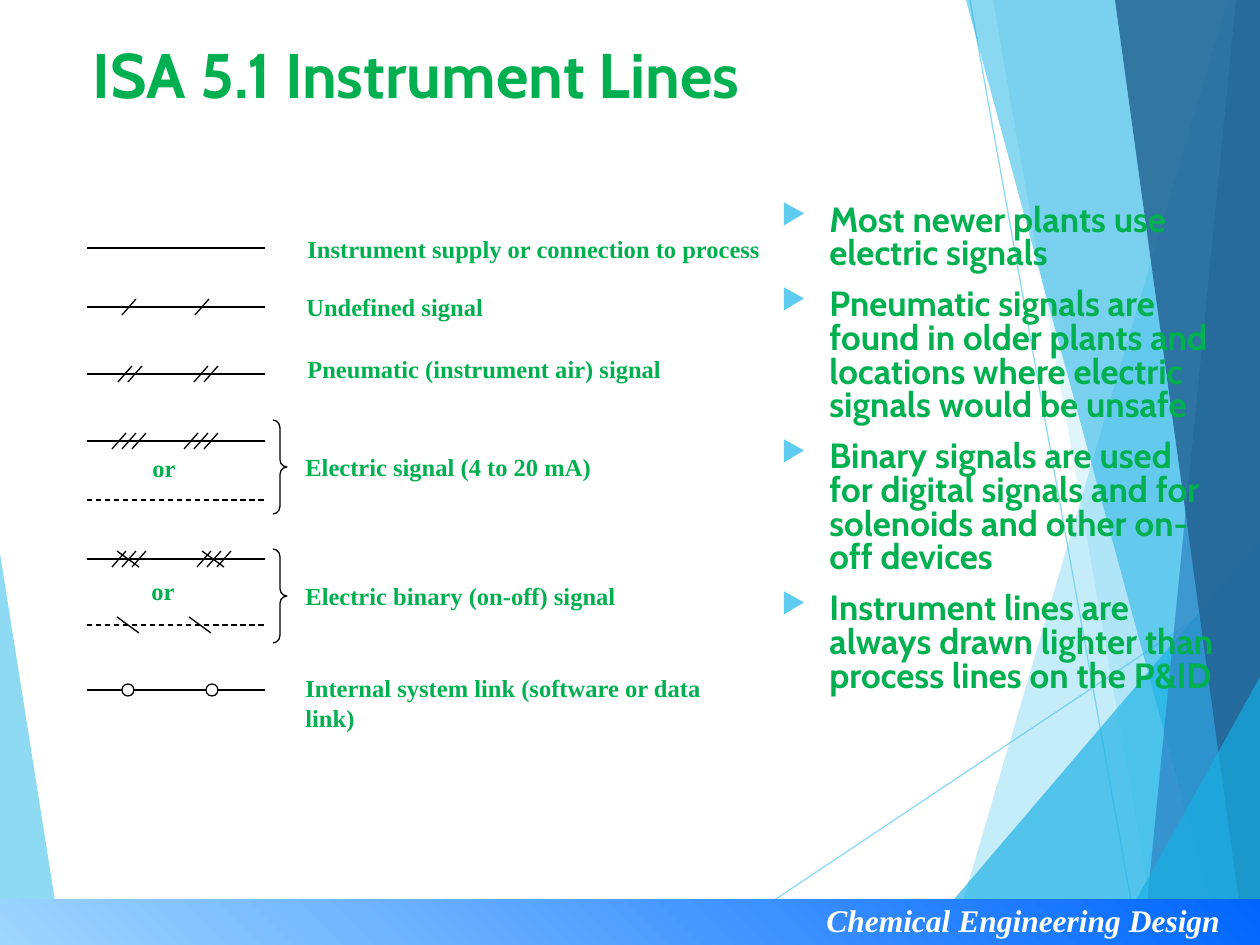
import pptx
import pptx.util
import pptx.dml.color
import pptx.enum.dml
import pptx.enum.shapes
import pptx.enum.text
import pptx.oxml
import pptx.oxml.ns
import lxml.etree

HUES = {
    "sky": "5FCBEF", "cyan": "17B0E4", "blue": "2E83C3", "navy": "236292",
    "pale": "9FD6FF", "bright": "0066FF", "green": "00B050",
    "black": "000000", "white": "FFFFFF",
}
SCALE = 914400 / 126
SHAPES = pptx.enum.shapes.MSO_SHAPE


def emu(px):
    return pptx.util.Emu(round(px * SCALE))


def rgb(hue):
    return pptx.dml.color.RGBColor.from_string(HUES[hue])


def add_sub(node, tag, **attrs):
    return lxml.etree.SubElement(node, pptx.oxml.ns.qn(tag), attrs)


def fade(shape, share):
    for color in shape._element.spPr.xpath(".//a:srgbClr"):
        add_sub(color, "a:alpha", val=str(share * 1000))


def write(frame, *lines, font="Times New Roman", size=14, hue="green",
          slant=False, bullet=None, lead=None, gap=0):
    frame.word_wrap = True
    for count, line in enumerate(lines):
        para = frame.paragraphs[0] if count == 0 else frame.add_paragraph()
        para.text = line
        if lead:
            para.line_spacing = lead
        if count:
            para.space_before = pptx.util.Pt(gap)
        if bullet:
            props = para._p.get_or_add_pPr()
            props.set("marL", str(emu(48)))
            props.set("indent", str(-emu(48)))
            tint = add_sub(props, "a:buClr")
            add_sub(tint, "a:srgbClr", val=HUES["sky"])
            add_sub(props, "a:buSzPct", val="80000")
            add_sub(props, "a:buChar", char=bullet)
        para.font.name = font
        para.font.size = pptx.util.Pt(size)
        para.font.bold = True
        para.font.italic = slant
        para.font.color.rgb = rgb(hue)


class Sheet:
    def __init__(self, slide, pen="black", width=0.75):
        self.slide = slide
        self.pen = pen
        self.width = pptx.util.Pt(width)

    def text(self, x, y, w, h, *lines, **style):
        box = self.slide.shapes.add_textbox(*map(emu, (x, y, w, h)))
        write(box.text_frame, *lines, **style)

    def line(self, x1, y1, x2, y2, hue=None, dash=False, share=None):
        link = self.slide.shapes.add_connector(
            pptx.enum.shapes.MSO_CONNECTOR.STRAIGHT, *map(emu, (x1, y1, x2, y2)))
        link.line.color.rgb = rgb(hue or self.pen)
        link.line.width = self.width
        if dash:
            link.line.dash_style = pptx.enum.dml.MSO_LINE.DASH
        if share:
            fade(link, share)
        add_sub(link._element.spPr, "a:effectLst")

    def shape(self, kind, x, y, w, h, fill=None):
        item = self.slide.shapes.add_shape(kind, *map(emu, (x, y, w, h)))
        item.shadow.inherit = False
        item.line.color.rgb = rgb(self.pen)
        item.line.width = self.width
        if fill:
            item.fill.solid()
            item.fill.fore_color.rgb = rgb(fill)
        else:
            item.fill.background()
        return item

    def facet(self, points, hue, share):
        build = self.slide.shapes.build_freeform(*points[0], scale=SCALE)
        build.add_line_segments(points[1:], close=True)
        item = build.convert_to_shape()
        item.shadow.inherit = False
        item.fill.solid()
        item.fill.fore_color.rgb = rgb(hue)
        item.line.fill.background()
        fade(item, share)

    def band(self, x, y, w, h, start, end):
        item = self.shape(SHAPES.RECTANGLE, x, y, w, h)
        item.line.fill.background()
        item.fill.gradient()
        item.fill.gradient_angle = 45
        for stop, hue, place in zip(item.fill.gradient_stops, (start, end), (0, 1)):
            stop.color.rgb = rgb(hue)
            stop.position = place

    def brace(self, x, y, w, h):
        item = self.shape(SHAPES.RIGHT_BRACE, x, y, w, h)
        item.adjustments[0] = 0.54

    def signal(self, y, dash=False, ticks=(), count=1, cuts=(), rings=()):
        self.line(87, y, 265, y, dash=dash)
        for start in ticks:
            for step in range(count):
                x = start + 10 * step
                self.line(x, y + 8, x + 14, y - 8)
        for x in cuts:
            self.line(x + 22, y + 8, x, y - 8)
        for x in rings:
            self.shape(SHAPES.OVAL, x, y - 6, 12, 12, fill="white")


def draw_back(sheet):
    sheet.facet([(0, 553), (62, 945), (0, 945)], "sky", 70)
    sheet.line(707, 945, 1260, 576, hue="sky", share=70)
    sheet.line(970, 0, 1139, 945, hue="sky", share=70)
    for points, hue, share in (
        ([(1228, 0), (950, 945), (1260, 945), (1260, 0)], "sky", 36),
        ([(993, 0), (1158, 945), (1260, 945), (1260, 0)], "sky", 20),
        ([(915, 945), (1260, 541), (1260, 945)], "cyan", 66),
        ([(966, 0), (1222, 945), (1260, 945), (1260, 0)], "cyan", 50),
        ([(1236, 0), (1143, 945), (1260, 945), (1260, 0)], "blue", 70),
        ([(1115, 0), (1245, 945), (1260, 945), (1260, 0)], "navy", 82),
        ([(1111, 945), (1260, 677), (1260, 945)], "cyan", 66),
    ):
        sheet.facet(points, hue, share)
    sheet.band(0, 899, 1260, 46, "pale", "bright")
    sheet.text(814, 895, 440, 50, "Chemical Engineering Design",
               size=18, hue="white", slant=True)


def draw_key(sheet):
    sheet.signal(248)
    sheet.signal(307, ticks=(122, 195))
    sheet.signal(374, ticks=(118, 194), count=2)
    sheet.signal(441, ticks=(112, 184), count=3)
    sheet.signal(500, dash=True)
    sheet.signal(559, ticks=(112, 197), count=3, cuts=(117, 202))
    sheet.signal(625, dash=True, cuts=(117, 189))
    sheet.signal(690, rings=(122, 206))
    for y in (420, 549):
        sheet.brace(273, y, 14, 94)
    for x, y in ((140, 447), (139, 570)):
        sheet.text(x, y, 53, 43, "or")
    for x, y, w, h, label in (
        (295, 228, 490, 43, "Instrument supply or connection to process"),
        (294, 286, 215, 43, "Undefined signal"),
        (295, 348, 390, 43, "Pneumatic (instrument air) signal"),
        (293, 446, 329, 43, "Electric signal (4 to 20 mA)"),
        (293, 575, 445, 43, "Electric binary (on-off) signal"),
        (293, 667, 455, 72, "Internal system link (software or data link)"),
    ):
        sheet.text(x, y, w, h, label)


def main():
    deck = pptx.Presentation()
    deck.slide_width, deck.slide_height = emu(1260), emu(945)
    sheet = Sheet(deck.slides.add_slide(deck.slide_layouts[6]))
    draw_back(sheet)
    draw_key(sheet)
    sheet.text(80, 29, 1040, 103, "ISA 5.1 Instrument Lines", font="Cabin", size=36)
    sheet.text(769, 199, 459, 624,
               "Most newer plants use electric signals",
               "Pneumatic signals are found in older plants and locations "
               "where electric signals would be unsafe",
               "Binary signals are used for digital signals and for solenoids "
               "and other on-off devices",
               "Instrument lines are always drawn lighter than process lines "
               "on the P&ID",
               font="Cabin", size=20, bullet="▶", lead=0.8, gap=10)
    deck.save("out.pptx")


if __name__ == "__main__":
    main()
